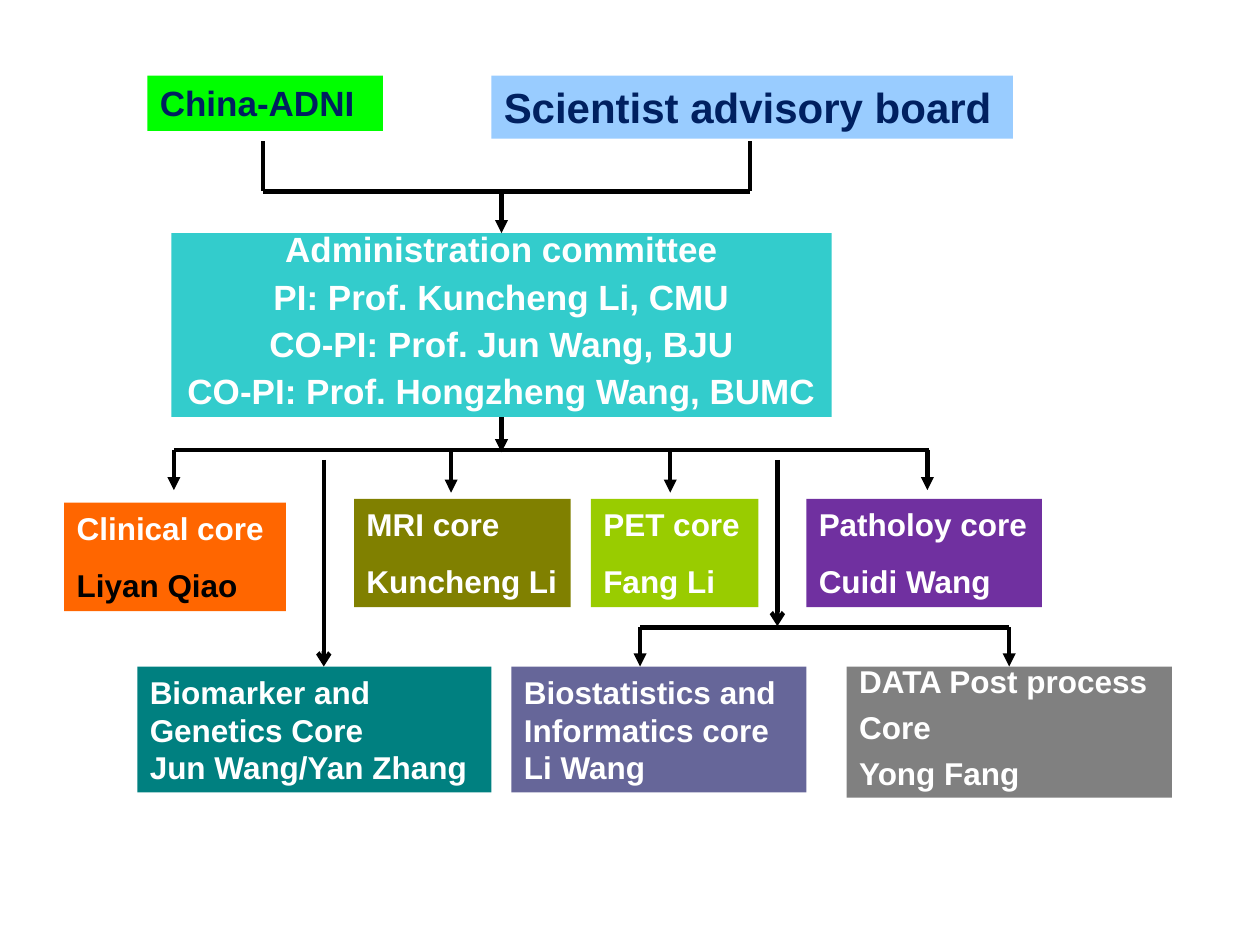
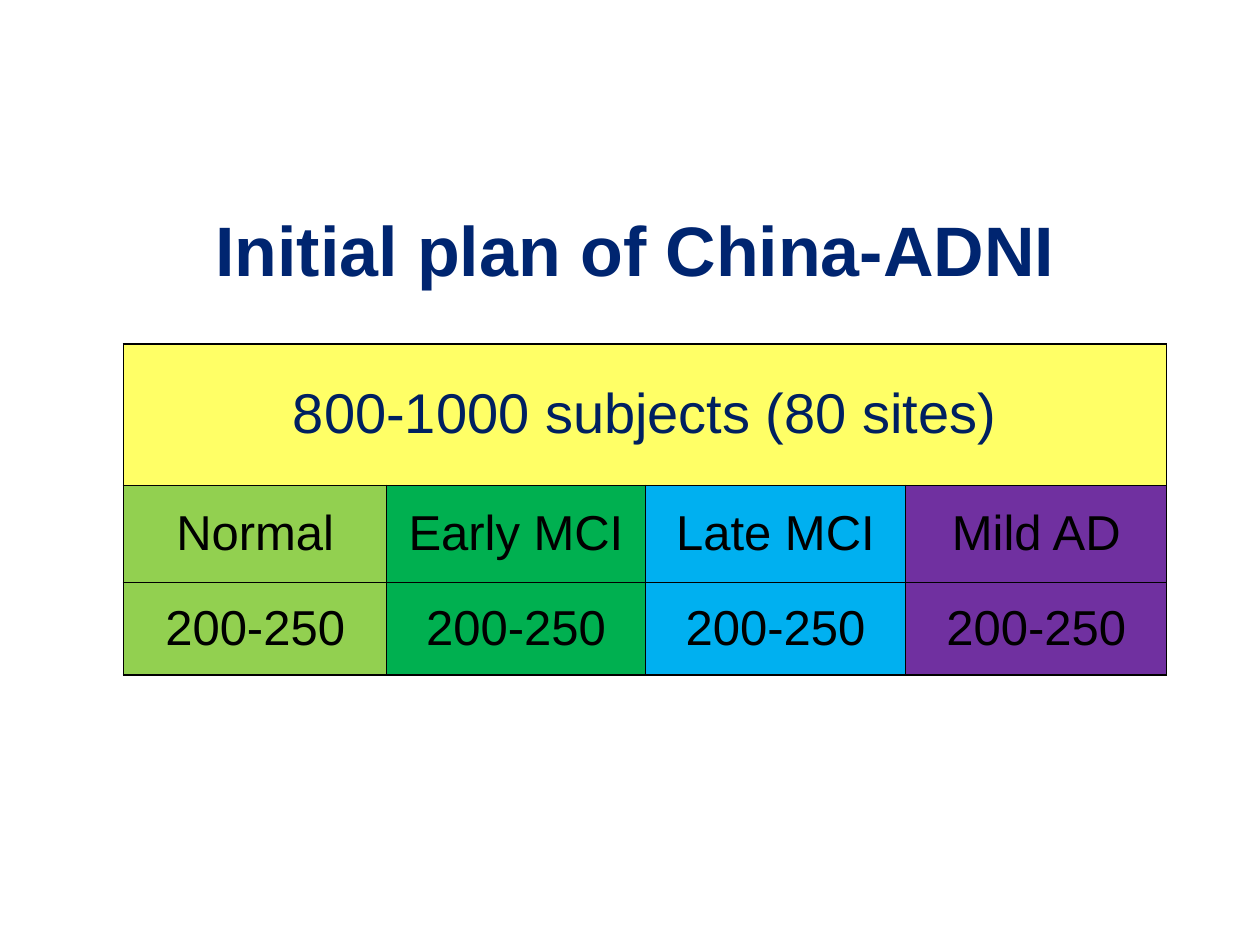
from lxml.etree import SubElement as Sub
from pptx import Presentation
from pptx.dml.color import RGBColor as RGB
from pptx.enum.shapes import MSO_CONNECTOR as Conn, MSO_SHAPE as Form
from pptx.enum.text import MSO_ANCHOR as Anchor, PP_ALIGN as Align
from pptx.oxml.ns import qn
from pptx.util import Inches, Pt

FONT = "Arial"
BLACK = RGB(0, 0, 0)
WHITE = RGB(255, 255, 255)
NAVY = RGB(0x00, 0x20, 0x60)
BLUE = RGB(0x00, 0x25, 0x70)
LIME = RGB(0x00, 0xFF, 0x00)
SKY = RGB(0x99, 0xCC, 0xFF)
AQUA = RGB(0x33, 0xCC, 0xCC)
ORANGE = RGB(0xFF, 0x66, 0x00)
OLIVE = RGB(0x80, 0x80, 0x00)
LEAF = RGB(0x99, 0xCC, 0x00)
PURPLE = RGB(0x70, 0x30, 0xA0)
TEAL = RGB(0x00, 0x80, 0x80)
SLATE = RGB(0x66, 0x66, 0x99)
GRAY = RGB(0x80, 0x80, 0x80)
YELLOW = RGB(0xFF, 0xFF, 0x66)
PALE = RGB(0x92, 0xD0, 0x50)
GREEN = RGB(0x00, 0xB0, 0x50)
CYAN = RGB(0x00, 0xB0, 0xF0)


def put(frame, text, size=18, color=WHITE, last=None, bold=True,
        align=Align.LEFT, gap=0, lead=1.0, first=None):
    """Write the lines of text into a frame, one paragraph each."""
    frame.word_wrap = True
    lines = text.split("\n")
    for i, line in enumerate(lines):
        para = frame.add_paragraph() if i else frame.paragraphs[0]
        para.alignment = align
        para.space_before = Pt(gap if i else 0)
        para.line_spacing = lead if i else first or lead
        run = para.add_run()
        run.text = line
        font = run.font
        font.name, font.size, font.bold = FONT, Pt(size), bold
        end = last is not None and i == len(lines) - 1
        font.color.rgb = last if end else color


class Deck:
    """Hold the style and the current slide."""

    def __init__(self):
        """Open an empty deck."""
        self.prs = Presentation()
        self.prs.slide_width, self.prs.slide_height = Inches(10), Inches(7.5)

    def page(self):
        """Start a blank slide."""
        self.slide = self.prs.slides.add_slide(self.prs.slide_layouts[6])

    def title(self, text, *area):
        """Add a slide title."""
        frame = self.slide.shapes.add_textbox(*map(Inches, area)).text_frame
        frame.vertical_anchor = Anchor.MIDDLE
        put(frame, text, size=40, color=BLUE, align=Align.CENTER)

    def box(self, text, fill, *area, **style):
        """Add a filled box with text."""
        shape = self.slide.shapes.add_shape(Form.RECTANGLE, *map(Inches, area))
        shape.shadow.inherit = False
        shape.fill.solid()
        shape.fill.fore_color.rgb = fill
        shape.line.fill.background()
        shape.text_frame.vertical_anchor = Anchor.TOP
        put(shape.text_frame, text, **style)
        return shape

    def line(self, *ends, head=None, start=None, stop=None):
        """Add a line, joined to (shape, side) pairs where given."""
        link = self.slide.shapes.add_connector(Conn.STRAIGHT, *map(Inches, ends))
        if start:
            link.begin_connect(*start)
        if stop:
            link.end_connect(*stop)
        link.line.color.rgb = BLACK
        link.line.width = Pt(2.5)
        if head:
            Sub(link.line._get_or_add_ln(), qn("a:tailEnd"), type=head)
        Sub(link._element.spPr, qn("a:effectLst"))

    def edge(self, cell, **widths):
        """Draw the four borders of a cell."""
        props = cell._tc.get_or_add_tcPr()
        for side in "LRTB":
            ln = Sub(props, qn("a:ln" + side), w=str(Pt(widths[side])))
            Sub(Sub(ln, qn("a:solidFill")), qn("a:srgbClr"), val=str(BLACK))

    def table(self, top, head, rows, fills, left, y, wide, high):
        """Add a table with one merged heading row."""
        count = len(fills)
        grid = self.slide.shapes.add_table(
            len(rows) + 1, count, Inches(left), Inches(y),
            Inches(sum(wide)), Inches(sum(high))).table
        grid.first_row = grid.horz_banding = False
        for col, size in zip(grid.columns, wide):
            col.width = Inches(size)
        for row, size in zip(grid.rows, high):
            row.height = Inches(size)
        for r in range(len(rows) + 1):
            for c in range(count):
                cell = grid.cell(r, c)
                outer = {"L": c == 0, "R": c == count - 1,
                         "T": r == 0, "B": r == len(rows)}
                self.edge(cell, **{s: 1.08 if o else 0.45 for s, o in outer.items()})
                cell.fill.solid()
                cell.fill.fore_color.rgb = fills[c] if r else head
                cell.vertical_anchor = Anchor.MIDDLE
                if r:
                    put(cell.text_frame, rows[r - 1][c], size=28, color=BLACK,
                        bold=False, align=Align.CENTER)
        grid.cell(0, 0).merge(grid.cell(0, count - 1))
        put(grid.cell(0, 0).text_frame, top, size=32, color=NAVY,
            bold=False, align=Align.CENTER)


def chart(deck):
    """Build the organisation chart."""
    deck.page()
    deck.box("China-ADNI", LIME, 1.17, 0.6, 1.87, 0.44, size=20, color=NAVY)
    deck.box("Scientist advisory board", SKY, 3.9, 0.6, 4.14, 0.5,
             size=24, color=NAVY)
    admin = deck.box(
        "Administration committee\nPI: Prof. Kuncheng Li, CMU\n"
        "CO-PI: Prof. Jun Wang, BJU\nCO-PI: Prof. Hongzheng Wang, BUMC",
        AQUA, 1.36, 1.85, 5.24, 1.46, size=20, align=Align.CENTER,
        gap=12.5, lead=0.6, first=0.7)
    cores = [
        ("Clinical core\nLiyan Qiao", ORANGE, 0.51, 3.99, 1.76, BLACK),
        ("MRI core\nKuncheng Li", OLIVE, 2.81, 3.96, 1.72, WHITE),
        ("PET core\nFang Li", LEAF, 4.69, 3.96, 1.33, WHITE),
        ("Patholoy core\nCuidi Wang", PURPLE, 6.4, 3.96, 1.87, WHITE),
    ]
    for text, fill, x, y, wide, last in cores:
        deck.box(text, fill, x, y, wide, 0.86, last=last, gap=11.2)
    deck.box("Biomarker and Genetics Core\nJun Wang/Yan Zhang", TEAL,
             1.09, 5.29, 2.81, 1)
    deck.box("Biostatistics and Informatics core\nLi Wang", SLATE,
             4.06, 5.29, 2.34, 1)
    data = deck.box("DATA Post process\nCore\nYong Fang", GRAY,
                    6.72, 5.29, 2.58, 1.04, gap=11.2, lead=0.7)

    for x in (2.09, 5.95):
        deck.line(x, 1.12, x, 1.52)
    deck.line(2.09, 1.52, 5.95, 1.52)
    deck.line(3.98, 1.54, 3.98, 1.85, head="triangle", stop=(admin, 0))
    deck.line(3.98, 3.31, 3.98, 3.59, head="triangle", start=(admin, 2))
    deck.line(1.38, 3.57, 7.37, 3.57)
    for x, y in ((1.38, 3.57), (3.58, 3.59), (5.32, 3.59), (7.36, 3.57)):
        deck.line(x, y, x, y + 0.32, head="triangle")
    for x, y in ((2.57, 5.29), (6.17, 4.97)):
        deck.line(x, 3.65, x, y, head="arrow")
    deck.line(5.08, 4.98, 8.01, 4.98)
    for x, stop in ((5.08, None), (8.01, (data, 0))):
        deck.line(x, 4.98, x, 5.29, head="triangle", stop=stop)


def plan(deck):
    """Build the plan of subjects."""
    deck.page()
    deck.title("Initial plan of China-ADNI", 1.37, 1.47, 7.34, 1)
    groups = ["Normal", "Early MCI", "Late MCI", "Mild AD"]
    deck.table("800-1000 subjects (80 sites)", YELLOW,
               [groups, ["200-250"] * len(groups)],
               [PALE, GREEN, CYAN, PURPLE], 0.98, 2.73,
               [2.09, 2.05, 2.07, 2.07], [1.12, 0.77, 0.74])


def main():
    """Build and save the deck."""
    deck = Deck()
    chart(deck)
    plan(deck)
    deck.prs.save("out.pptx")


if __name__ == "__main__":
    main()
